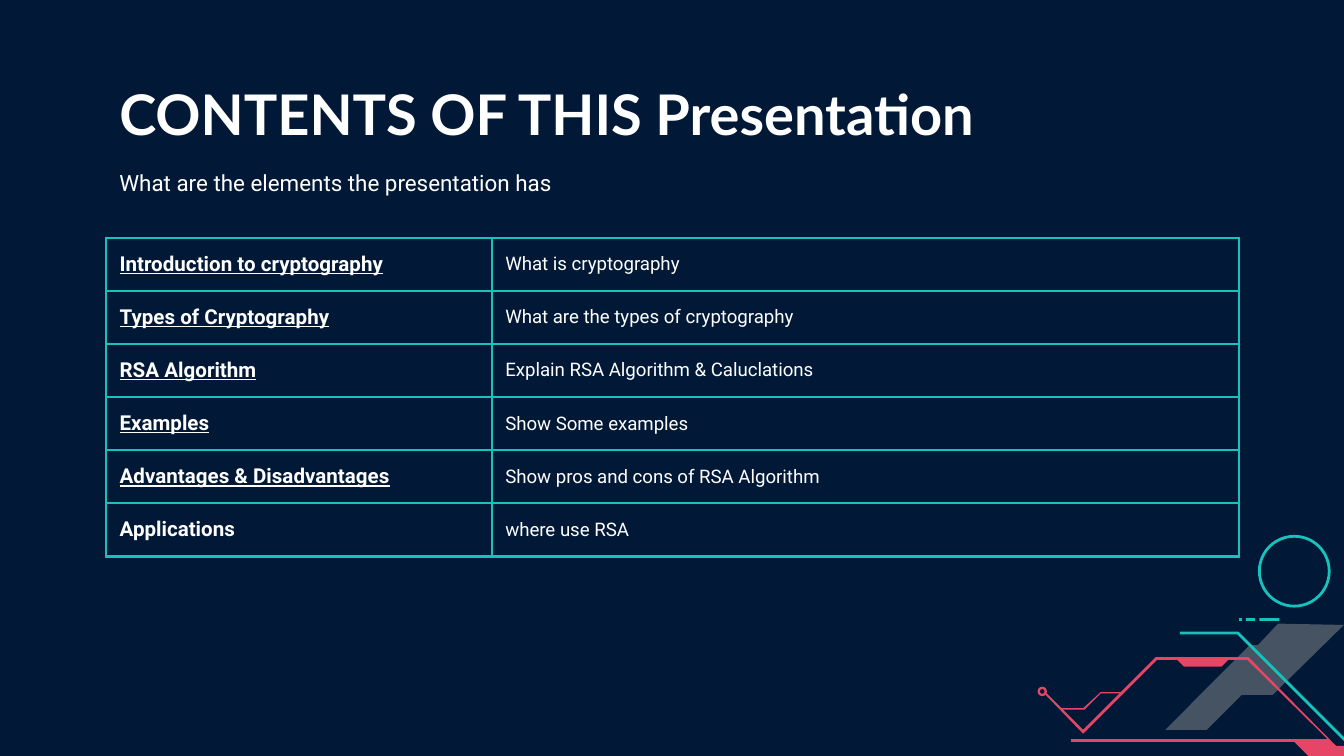
"""Build the contents slide of a cryptography presentation."""
from dataclasses import dataclass

from lxml import etree
from pptx import Presentation
from pptx.dml.color import RGBColor
from pptx.enum.shapes import MSO_SHAPE
from pptx.enum.text import MSO_ANCHOR
from pptx.oxml.ns import qn
from pptx.shapes.autoshape import Shape
from pptx.slide import Slide
from pptx.table import _Cell
from pptx.text.text import TextFrame
from pptx.util import Inches, Pt

OVAL, DONUT, RECTANGLE = MSO_SHAPE.OVAL, MSO_SHAPE.DONUT, MSO_SHAPE.RECTANGLE
TOP, MIDDLE = MSO_ANCHOR.TOP, MSO_ANCHOR.MIDDLE


@dataclass(frozen=True)
class Theme:
    background: str = "011936"
    text: str = "FFFFFF"
    teal: str = "15C2BC"
    pink: str = "E64566"
    gray: str = "465362"
    title_font: str = "Lato"
    body_font: str = "Roboto"
    title_size: float = 30
    subtitle_size: float = 12
    topic_size: float = 11
    detail_size: float = 10
    line_width: float = 1.5


@dataclass(frozen=True)
class TextStyle:
    font: str
    size: float
    bold: bool = False
    underline: bool = False


@dataclass(frozen=True)
class Topic:
    name: str
    detail: str
    underline: bool = True


@dataclass(frozen=True)
class Outline:
    points: tuple[tuple[float, float], ...]
    color: str
    closed: bool = True


@dataclass(frozen=True)
class Preset:
    kind: MSO_SHAPE
    left: float
    top: float
    width: float
    height: float
    color: str
    filled: bool = True


THEME = Theme()
SLIDE_WIDTH = Inches(10)
SLIDE_HEIGHT = SLIDE_WIDTH * 9 // 16
LEFT, WIDTH = 0.79, 8.43
TABLE_TOP, TABLE_HEIGHT = 1.77, 2.37
COLUMN_WIDTHS = (2.87, 5.56)
INSET = 0.1

TOPICS = (
    Topic("Introduction to cryptography", "What is cryptography"),
    Topic("Types of Cryptography", "What are the types of cryptography"),
    Topic("RSA Algorithm", "Explain RSA Algorithm & Caluclations"),
    Topic("Examples", "Show Some examples"),
    Topic("Advantages & Disadvantages", "Show pros and cons of RSA Algorithm"),
    Topic("Applications", "where use RSA", underline=False),
)

GRAY_BAND = Outline(
    ((9.51, 4.64), (10, 4.65), (9.47, 5.17), (9.24, 5.17), (8.98, 5.43),
     (8.67, 5.43), (9.3, 4.8), (9.36, 4.8)), THEME.gray)
BASE_TRACE = Outline(
    ((7.97, 5.5), (7.97, 5.52), (9.63, 5.52), (9.94, 5.83), (12.53, 5.83),
     (12.53, 5.81), (11.03, 5.81), (10.76, 5.55), (10.77, 5.13), (10.64, 5.13),
     (10.21, 5.55), (9.94, 5.55), (9.88, 5.5)), THEME.pink)
PEAK_TRACE = Outline(
    ((7.77, 5.16), (8.06, 5.46), (8.61, 4.91), (9.28, 4.91), (10, 5.62),
     (10.51, 5.62), (10.51, 5.61), (10, 5.61), (9.29, 4.89), (8.6, 4.89),
     (8.06, 5.43), (7.78, 5.15)), THEME.pink)
PEAK_TAB = Outline(
    ((8.75, 4.9), (8.81, 4.96), (9.09, 4.96), (9.15, 4.9)), THEME.pink)
BRANCH_TRACE = Outline(
    ((7.89, 5.27), (7.89, 5.28), (8.07, 5.28), (8.19, 5.16), (8.35, 5.16),
     (8.35, 5.15), (8.19, 5.15), (8.06, 5.27)), THEME.pink)
TEAL_TRACE = Outline(
    ((8.78, 4.71), (9.21, 4.71), (11.31, 6.81)), THEME.teal, closed=False)
OUTLINES = (GRAY_BAND, BASE_TRACE, PEAK_TRACE, PEAK_TAB, BRANCH_TRACE, TEAL_TRACE)

DASHES = ((9.22, 0.02), (9.27, 0.07), (9.37, 0.15))
PRESETS = (
    Preset(DONUT, 7.72, 5.11, 0.07, 0.07, THEME.pink),
    Preset(OVAL, 9.37, 3.99, 0.52, 0.52, THEME.teal, filled=False),
    *(Preset(RECTANGLE, left, 4.6, width, 0.02, THEME.teal) for left, width in DASHES),
)


def rgb(color: str) -> RGBColor:
    return RGBColor.from_string(color)


def paint(shape: Shape, color: str, filled: bool) -> None:
    shape.shadow.inherit = False
    if filled:
        shape.fill.solid()
        shape.fill.fore_color.rgb = rgb(color)
        shape.line.fill.background()
    else:
        shape.fill.background()
        shape.line.color.rgb = rgb(color)
        shape.line.width = Pt(THEME.line_width)


def draw_outline(slide: Slide, outline: Outline) -> None:
    first, *rest = [(Inches(x), Inches(y)) for x, y in outline.points]
    builder = slide.shapes.build_freeform(*first)
    builder.add_line_segments(rest, close=outline.closed)
    paint(builder.convert_to_shape(), outline.color, outline.closed)


def draw_preset(slide: Slide, preset: Preset) -> None:
    box = (preset.left, preset.top, preset.width, preset.height)
    shape = slide.shapes.add_shape(preset.kind, *map(Inches, box))
    paint(shape, preset.color, preset.filled)


def write_text(text_frame: TextFrame, text: str, style: TextStyle) -> None:
    text_frame.text = text
    font = text_frame.paragraphs[0].runs[0].font
    font.name, font.size = style.font, Pt(style.size)
    font.bold, font.underline = style.bold, style.underline
    font.color.rgb = rgb(THEME.text)


def add_heading(slide: Slide, top: float, height: float, text: str, style: TextStyle) -> None:
    box = slide.shapes.add_textbox(*map(Inches, (LEFT, top, WIDTH, height)))
    text_frame = box.text_frame
    text_frame.word_wrap = True
    text_frame.vertical_anchor = TOP
    text_frame.margin_left = text_frame.margin_right = Inches(INSET)
    text_frame.margin_top = text_frame.margin_bottom = Inches(INSET)
    write_text(text_frame, text, style)


def add_borders(cell: _Cell) -> None:
    properties = cell._tc.get_or_add_tcPr()
    for side in ("a:lnL", "a:lnR", "a:lnT", "a:lnB"):
        line = etree.SubElement(properties, qn(side), w=str(Pt(THEME.line_width)))
        fill = etree.SubElement(line, qn("a:solidFill"))
        etree.SubElement(fill, qn("a:srgbClr"), val=THEME.teal)


def fill_cell(cell: _Cell, text: str, style: TextStyle) -> None:
    add_borders(cell)
    cell.fill.background()
    cell.vertical_anchor = MIDDLE
    cell.margin_left = cell.margin_right = Inches(INSET)
    cell.margin_top = cell.margin_bottom = 0
    write_text(cell.text_frame, text, style)


def add_topics(slide: Slide) -> None:
    box = map(Inches, (LEFT, TABLE_TOP, WIDTH, TABLE_HEIGHT))
    table = slide.shapes.add_table(len(TOPICS), len(COLUMN_WIDTHS), *box).table
    table.first_row = table.horz_banding = False
    for column, width in zip(table.columns, COLUMN_WIDTHS):
        column.width = Inches(width)
    detail_style = TextStyle(THEME.body_font, THEME.detail_size)
    for row, topic in zip(table.rows, TOPICS):
        name_style = TextStyle(THEME.body_font, THEME.topic_size, True, topic.underline)
        fill_cell(row.cells[0], topic.name, name_style)
        fill_cell(row.cells[1], topic.detail, detail_style)


def main() -> None:
    presentation = Presentation()
    presentation.slide_width, presentation.slide_height = SLIDE_WIDTH, SLIDE_HEIGHT
    slide = presentation.slides.add_slide(presentation.slide_layouts[6])
    slide.background.fill.solid()
    slide.background.fill.fore_color.rgb = rgb(THEME.background)
    for outline in OUTLINES:
        draw_outline(slide, outline)
    for preset in PRESETS:
        draw_preset(slide, preset)
    add_heading(slide, 0.49, 0.63, "CONTENTS OF THIS Presentation",
                TextStyle(THEME.title_font, THEME.title_size, bold=True))
    add_topics(slide)
    add_heading(slide, 1.16, 0.4, "What are the elements the presentation has",
                TextStyle(THEME.body_font, THEME.subtitle_size))
    presentation.save("out.pptx")


if __name__ == "__main__":
    main()
